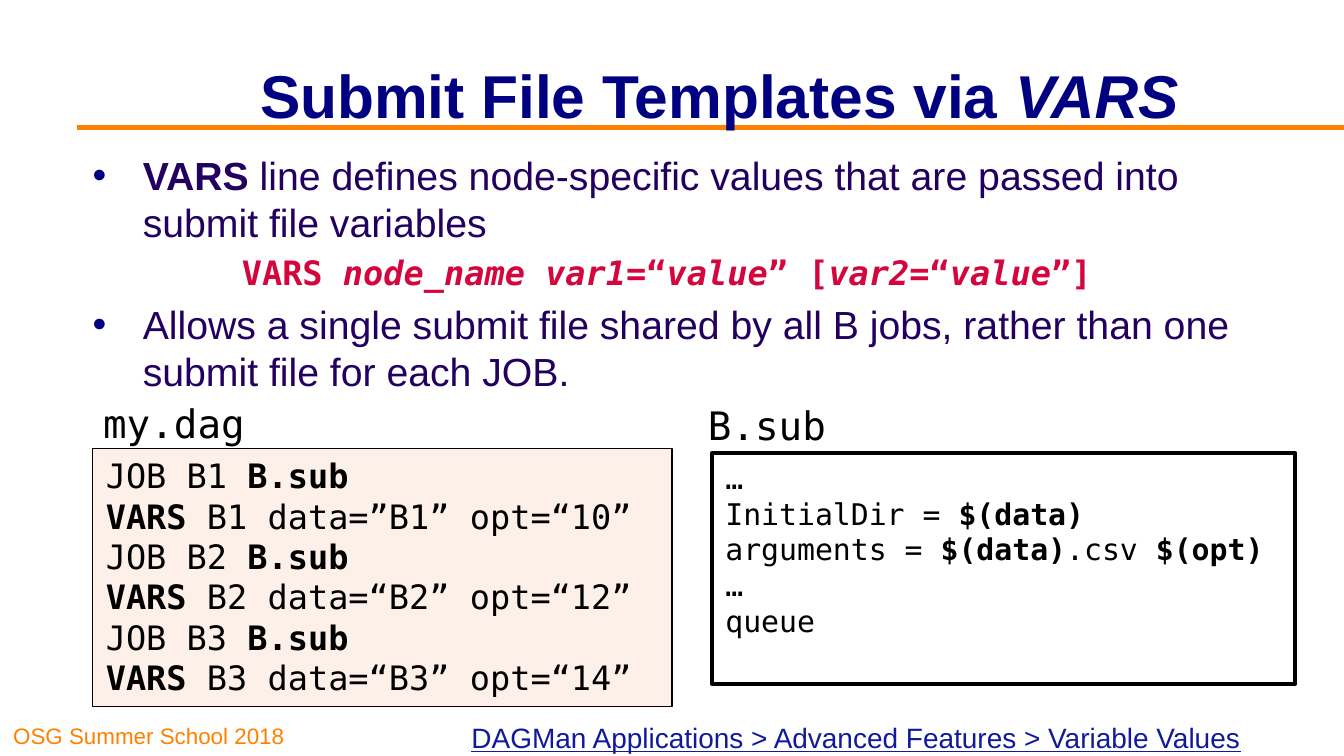
from dataclasses import dataclass

from lxml.etree import SubElement
from pptx import Presentation
from pptx.dml.color import RGBColor
from pptx.enum.shapes import MSO_CONNECTOR as Link, MSO_SHAPE as Shape
from pptx.enum.text import MSO_ANCHOR as Anchor, PP_ALIGN as Align
from pptx.oxml.ns import qn
from pptx.util import Cm, Pt

ORANGE = RGBColor(0xFF, 0x80, 0x00)
NAVY = RGBColor(0x00, 0x00, 0x80)
PURPLE = RGBColor(0x23, 0x00, 0x5F)
RED = RGBColor(0xD3, 0x06, 0x3E)
BLUE = RGBColor(0x11, 0x1A, 0x99)
BLACK = RGBColor(0x00, 0x00, 0x00)
WHITE = RGBColor(0xFF, 0xFF, 0xFF)
PEACH = RGBColor(0xFD, 0xF0, 0xE9)
SANS, MONO = "Arial", "DejaVu Sans Mono"


@dataclass(frozen=True)
class Style:
    """Font of a line; accent is the font attribute that asterisks switch on."""
    size: float
    color: RGBColor
    face: str = SANS
    bold: bool = False
    line: bool = False
    accent: str = "bold"
    align: Align = Align.LEFT


@dataclass(frozen=True)
class Line:
    text: str
    style: Style
    bullet: bool = False
    gap: float = 0


@dataclass(frozen=True)
class Box:
    left: float
    top: float
    width: float
    height: float
    lines: list[Line]
    anchor: Anchor = Anchor.TOP
    wrap: bool = True
    fill: RGBColor | None = None
    edge: float = 0


TITLE = Style(32.4, NAVY, bold=True, accent="italic", align=Align.CENTER)
BODY = Style(21, PURPLE)
SYNTAX = Style(18, RED, MONO, bold=True, accent="italic", align=Align.CENTER)
LABEL = Style(21, BLACK, MONO)
DAG = Style(18, BLACK, MONO)
SUB = Style(16, BLACK, MONO)
FOOT = Style(12, ORANGE)
MORE = Style(15, BLUE, line=True, align=Align.RIGHT)


def code(text: str, style: Style) -> list[Line]:
    return [Line(row, style) for row in text.splitlines()]


BOXES = [
    Box(0, 13.49, 6.3, 0.79, [Line("OSG Summer School 2018", FOOT)], Anchor.BOTTOM),
    Box(3.89, 0.58, 19.41, 2.39,
        [Line("Submit File Templates via *VARS*", TITLE)], Anchor.MIDDLE),
    Box(7.29, 13.49, 16.41, 0.89,
        [Line("DAGMan Applications > Advanced Features > Variable Values", MORE)]),
    Box(1.5, 2.74, 22.2, 4.67, [
        Line("*VARS* line defines node-specific values that are passed into "
             "submit file variables", BODY, bullet=True),
        Line("VARS *node_name var1*=“*value*” [*var2*=“*value*”]", SYNTAX, gap=3.6),
        Line("Allows a single submit file shared by all B jobs, rather than one "
             "submit file for each JOB.", BODY, bullet=True, gap=4.2),
    ]),
    Box(13.13, 7.47, 2.77, 1.14, [Line("B.sub", LABEL)], wrap=False),
    Box(13.46, 8.56, 11.02, 4.37, code("""…
InitialDir = *$(data)*
arguments = *$(data)*.csv *$(opt)*
…
queue""", SUB), fill=WHITE, edge=2),
    Box(1.75, 8.48, 10.95, 4.88, code("""JOB B1 *B.sub*
*VARS* B1 data=”B1” opt=“10”
JOB B2 *B.sub*
*VARS* B2 data=“B2” opt=“12”
JOB B3 *B.sub*
*VARS* B3 data=“B3” opt=“14”""", DAG), fill=PEACH, edge=0.75),
    Box(1.7, 7.42, 3.2, 1.14, [Line("my.dag", LABEL)], wrap=False),
]


def add_bullet(para) -> None:
    props = para._p.get_or_add_pPr()
    props.set("marL", str(Cm(0.95)))
    props.set("indent", str(-Cm(0.95)))
    tint = SubElement(props, qn("a:buClr"))
    SubElement(tint, qn("a:srgbClr"), val=str(NAVY))
    SubElement(props, qn("a:buFont"), typeface=SANS)
    SubElement(props, qn("a:buChar"), char="•")


def write(para, line: Line) -> None:
    """Fill a paragraph, with the accent on every part between asterisks."""
    style = line.style
    if line.bullet:
        add_bullet(para)
    para.alignment = style.align
    para.space_before = Pt(line.gap)
    for i, part in enumerate(line.text.split("*")):
        if not part:
            continue
        run = para.add_run()
        run.text = part
        font = run.font
        font.name, font.size, font.bold = style.face, Pt(style.size), style.bold
        font.color.rgb = style.color
        if style.line:
            font.underline = True
        if i % 2:
            setattr(font, style.accent, True)


def draw(slide, box: Box) -> None:
    area = [Cm(n) for n in (box.left, box.top, box.width, box.height)]
    if box.fill is None:
        shape = slide.shapes.add_textbox(*area)
    else:
        shape = slide.shapes.add_shape(Shape.RECTANGLE, *area)
        shape.shadow.inherit = False
        shape.fill.solid()
        shape.fill.fore_color.rgb = box.fill
        shape.line.color.rgb = BLACK
        shape.line.width = Pt(box.edge)
    frame = shape.text_frame
    frame.word_wrap = box.wrap
    frame.vertical_anchor = box.anchor
    for i, line in enumerate(box.lines):
        write(frame.add_paragraph() if i else frame.paragraphs[0], line)


def draw_rule(slide) -> None:
    rule = slide.shapes.add_connector(
        Link.STRAIGHT, Cm(1.45), Cm(2.41), Cm(25.4), Cm(2.41))
    rule.line.color.rgb = ORANGE
    rule.line.width = Pt(3)
    SubElement(rule._element.spPr, qn("a:effectLst"))


def main() -> None:
    deck = Presentation()
    deck.slide_width, deck.slide_height = Cm(25.4), Cm(14.29)
    slide = deck.slides.add_slide(deck.slide_layouts[6])
    draw_rule(slide)
    for box in BOXES:
        draw(slide, box)
    deck.save("out.pptx")


if __name__ == "__main__":
    main()
